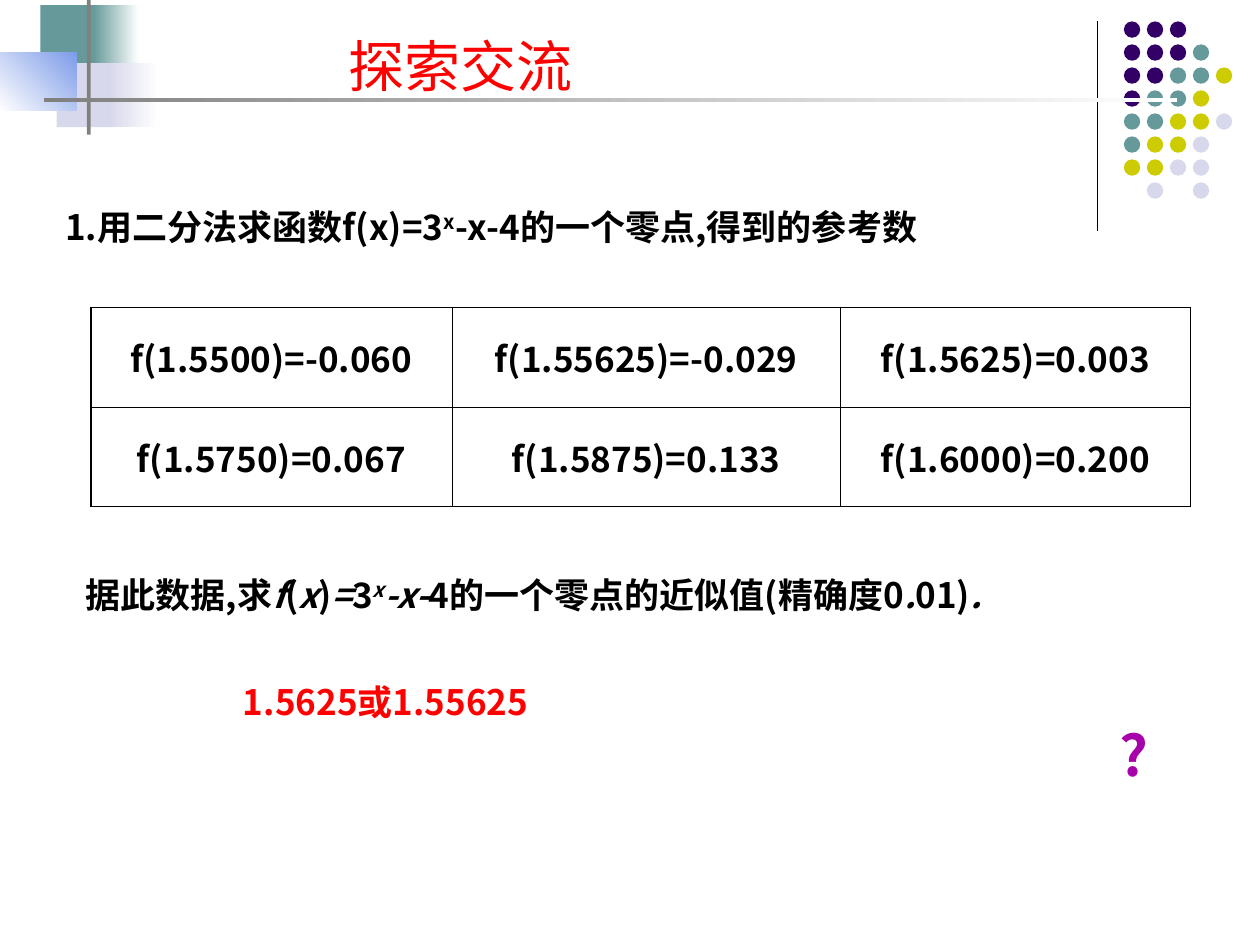
"""Build the slide on finding a zero of f(x)=3^x-x-4 by bisection."""
from typing import NamedTuple, Optional

from lxml.etree import SubElement
from pptx import Presentation
from pptx.dml.color import RGBColor
from pptx.enum.shapes import MSO_CONNECTOR, MSO_SHAPE
from pptx.enum.text import MSO_ANCHOR, MSO_AUTO_SIZE, PP_ALIGN
from pptx.oxml.ns import qn
from pptx.util import Inches, Pt

BLACK = RGBColor(0x00, 0x00, 0x00)
WHITE = RGBColor(0xFF, 0xFF, 0xFF)
RED = RGBColor(0xFF, 0x00, 0x00)
MAGENTA = RGBColor(0xA6, 0x03, 0xAB)
PURPLE = RGBColor(0x33, 0x00, 0x66)
TEAL = RGBColor(0x66, 0x99, 0x99)
YELLOW = RGBColor(0xCC, 0xCC, 0x00)
LAVENDER = RGBColor(0xD8, 0xD8, 0xEC)
BLUE = RGBColor(0x7E, 0x9C, 0xE8)
GRAY = RGBColor(0x80, 0x80, 0x80)

FONT_SC = "Noto Sans CJK SC"
FONT_JP = "Noto Sans CJK JP"

DOT_COLORS = {"P": PURPLE, "T": TEAL, "Y": YELLOW, "L": LAVENDER}
DOT_ROWS = ("PPP", "PPPT", "PPTTY", "PTTY", "TTYYL", "TYYL", "YYLL", " L L")
DOT_LEFT, DOT_TOP, DOT_SIZE = 8.92, 0.17, 0.13
DOT_PITCH = 0.73 / 4

OUTER_BORDER, INNER_BORDER = Pt(1.08), Pt(0.23)
COLUMN_WIDTHS = (2.87, 3.08, 2.78)
ROW_HEIGHT = 0.79
VALUES = (
    ("f(1.5500)=-0.060", "f(1.55625)=-0.029", "f(1.5625)=0.003"),
    ("f(1.5750)=0.067", "f(1.5875)=0.133", "f(1.6000)=0.200"),
)


class Box(NamedTuple):
    left: float
    top: float
    width: float
    height: float


class Block(NamedTuple):
    box: Box
    color: RGBColor
    fade_to: Optional[RGBColor] = None
    angle: float = 0


class Part(NamedTuple):
    text: str
    italic: bool = False
    raised: bool = False


BLOCKS = (
    Block(Box(0.32, 0.04, 0.48, 0.51), TEAL),
    Block(Box(0.74, 0.04, 0.36, 0.51), TEAL, WHITE),
    Block(Box(0.45, 0.5, 0.46, 0.51), LAVENDER),
    Block(Box(0.86, 0.5, 0.4, 0.51), LAVENDER, WHITE),
    Block(Box(0, 0.42, 0.61, 0.46), WHITE, BLUE, 45),
    Block(Box(0.69, -0.07, 0.03, 1.14), GRAY),
    Block(Box(0.35, 0.78, 8.99, 0.03), GRAY, WHITE),
)
PROBLEM = (Part("1.用二分法求函数f(x)=3"), Part("x", raised=True),
           Part("-x-4的一个零点,得到的参考数"))
QUESTION = (
    Part("据此数据,求"), Part("f", italic=True), Part("("), Part("x", italic=True),
    Part(")"), Part("=", italic=True), Part("3"), Part("x", italic=True, raised=True),
    Part("-x-", italic=True), Part("4的一个零点的近似值(精确度0"),
    Part(".", italic=True), Part("01)"), Part(".", italic=True),
)


def write(frame, parts: tuple[Part, ...], *, size: float = 20, color: RGBColor = BLACK,
          bold: bool = True, font: str = FONT_SC, align=PP_ALIGN.LEFT) -> None:
    paragraph = frame.paragraphs[0]
    paragraph.alignment = align
    for part in parts:
        run = paragraph.add_run()
        run.text = part.text
        run.font.size = Pt(size)
        run.font.bold = bold
        run.font.italic = part.italic
        run.font.color.rgb = color
        run.font.name = font
        properties = run._r.get_or_add_rPr()
        SubElement(properties, qn("a:ea")).set("typeface", font)
        if part.raised:
            properties.set("baseline", "30000")


def add_text(slide, box: Box, *parts: Part, wrap: bool = True, **text_format) -> None:
    frame = slide.shapes.add_textbox(*map(Inches, box)).text_frame
    frame.word_wrap = wrap
    frame.auto_size = MSO_AUTO_SIZE.SHAPE_TO_FIT_TEXT if wrap else MSO_AUTO_SIZE.NONE
    write(frame, parts, **text_format)


def add_block(slide, block: Block, preset=MSO_SHAPE.RECTANGLE) -> None:
    shape = slide.shapes.add_shape(preset, *map(Inches, block.box))
    shape.shadow.inherit = False
    shape.line.fill.background()
    if block.fade_to is None:
        shape.fill.solid()
        shape.fill.fore_color.rgb = block.color
        return
    shape.fill.gradient()
    shape.fill.gradient_angle = block.angle
    for stop, color in zip(shape.fill.gradient_stops, (block.color, block.fade_to)):
        stop.color.rgb = color


def add_divider(slide) -> None:
    divider = slide.shapes.add_connector(
        MSO_CONNECTOR.STRAIGHT, Inches(8.71), Inches(0.17), Inches(8.71), Inches(1.83))
    divider.line.color.rgb = BLACK
    divider.line.width = Pt(0.75)
    SubElement(divider._element.spPr, qn("a:effectLst"))


def add_dots(slide) -> None:
    for row, codes in enumerate(DOT_ROWS):
        for column, code in enumerate(codes):
            if code in DOT_COLORS:
                box = Box(DOT_LEFT + column * DOT_PITCH, DOT_TOP + row * DOT_PITCH,
                          DOT_SIZE, DOT_SIZE)
                add_block(slide, Block(box, DOT_COLORS[code]), MSO_SHAPE.OVAL)


def set_borders(cell, outer_sides: dict[str, bool]) -> None:
    properties = cell._tc.get_or_add_tcPr()
    for side, outer in outer_sides.items():
        border = SubElement(properties, qn(f"a:ln{side}"))
        border.set("w", str(int(OUTER_BORDER if outer else INNER_BORDER)))
        fill = SubElement(border, qn("a:solidFill"))
        SubElement(fill, qn("a:srgbClr")).set("val", str(BLACK))


def add_values(slide) -> None:
    rows, columns = len(VALUES), len(COLUMN_WIDTHS)
    box = Box(0.72, 2.44, sum(COLUMN_WIDTHS), rows * ROW_HEIGHT)
    table = slide.shapes.add_table(rows, columns, *map(Inches, box)).table
    table.first_row = table.horz_banding = False
    for column, width in zip(table.columns, COLUMN_WIDTHS):
        column.width = Inches(width)
    for r, values in enumerate(VALUES):
        table.rows[r].height = Inches(ROW_HEIGHT)
        for c, value in enumerate(values):
            cell = table.cell(r, c)
            set_borders(cell, {"L": c == 0, "R": c == columns - 1,
                               "T": r == 0, "B": r == rows - 1})
            cell.fill.background()
            cell.vertical_anchor = MSO_ANCHOR.MIDDLE
            write(cell.text_frame, (Part(value),), align=PP_ALIGN.CENTER)


def main() -> None:
    deck = Presentation()
    deck.slide_width, deck.slide_height = Inches(10), Inches(7.5)
    slide = deck.slides.add_slide(deck.slide_layouts[6])
    add_divider(slide)
    add_dots(slide)
    for block in BLOCKS:
        add_block(slide, block)
    add_text(slide, Box(2.67, 0.2, 2.58, 0.64), Part("探索交流"),
             size=32, color=RED, bold=False)
    add_text(slide, Box(0.42, 1.58, 9.08, 0.44), *PROBLEM)
    add_text(slide, Box(0.58, 4.5, 8.17, 0.44), *QUESTION)
    add_text(slide, Box(1.83, 5.35, 2.91, 0.44), Part("1.5625或1.55625"), color=RED)
    add_text(slide, Box(8.79, 5.67, 0.63, 0.63), Part("?"),
             wrap=False, size=32, color=MAGENTA, font=FONT_JP)
    add_values(slide)
    deck.save("out.pptx")


if __name__ == "__main__":
    main()
